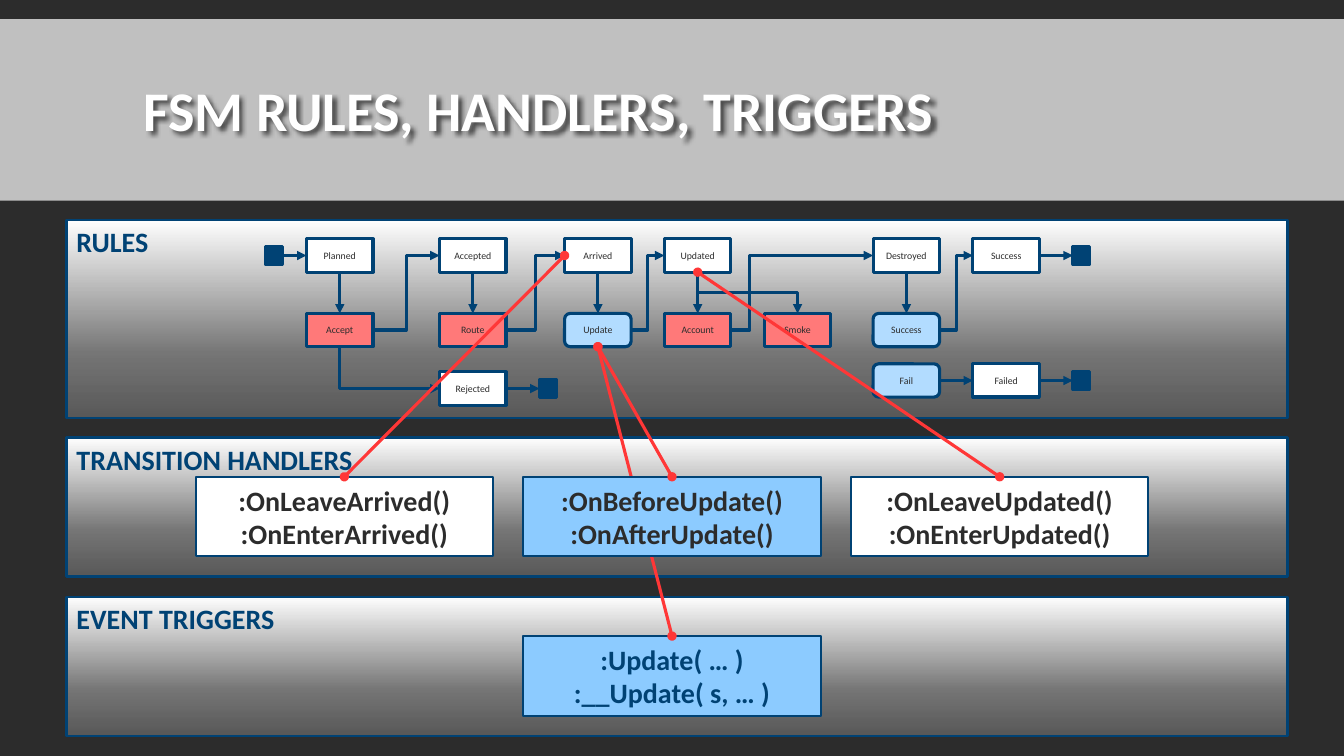
from lxml import etree
from pptx import Presentation
from pptx.dml.color import RGBColor
from pptx.enum.shapes import MSO_CONNECTOR as LINE, MSO_SHAPE as SHAPE
from pptx.enum.text import MSO_ANCHOR as ANCHOR, PP_ALIGN as ALIGN
from pptx.oxml import parse_xml
from pptx.oxml.ns import nsdecls, qn
from pptx.util import Inches, Pt

COLORS = {"dark": "2C2C2C", "white": "FFFFFF", "navy": "004274", "coral": "FF7979",
          "pale": "B2DCFF", "sky": "8CCBFF", "red": "FF3737"}
NODE_W, NODE_H, DOT = 0.66, 0.33, 0.17
CALL_W, CALL_H, CALL_STEP, CALL_TOP = 2.95, 0.79, 3.25, 0.39

# Offsets inside the rules panel
COLS = [2.38, 3.70, 4.94, 5.93, 6.92, 8.00, 8.99]
ROWS = [0.19, 0.93, 1.43, 1.51]
FILLS = {"state": "white", "action": "coral", "event": "pale"}
NODES = [  # label, column, row, kind
    ("Planned", 0, 0, "state"), ("Accepted", 1, 0, "state"), ("Arrived", 2, 0, "state"),
    ("Updated", 3, 0, "state"), ("Destroyed", 5, 0, "state"), ("Success", 6, 0, "state"),
    ("Accept", 0, 1, "action"), ("Route", 1, 1, "action"), ("Update", 2, 1, "event"),
    ("Account", 3, 1, "action"), ("Smoke", 4, 1, "action"), ("Success", 5, 1, "event"),
    ("Fail", 5, 2, "event"), ("Failed", 6, 2, "state"), ("Rejected", 1, 3, "state"),
]
DOTS = {"start": (1.97, 0), "done": (9.98, 0), "failed": (9.98, 2), "rejected": (4.69, 3)}
ACROSS = [("start", (0, 0)), ((6, 0), "done"), ((5, 2), (6, 2)),
          ((6, 2), "failed"), ((1, 3), "rejected")]
DOWN = [0, 1, 2, 3, 5]
UP = [(0, 1, 0.5), (1, 2, 0.5), (2, 3, 0.5), (3, 5, 0.133), (5, 6, 0.5)]
DROPS = [((3, 0), (4, 1), 0, "bentConnector3"), ((0, 1), (1, 3), 1, "bentConnector2")]


def rgb(name):
    return RGBColor.from_string(COLORS[name])


def block(shapes, box, fill=None, width=1.5, kind=SHAPE.RECTANGLE):
    shape = shapes.add_shape(kind, *map(Inches, box))
    shape.shadow.inherit = False
    shape.line.color.rgb = rgb("navy")
    shape.line.width = Pt(width)
    if fill:
        shape.fill.solid()
        shape.fill.fore_color.rgb = rgb(fill)
    return shape


def write(shape, lines, size, color, bold=False, align=ALIGN.CENTER, anchor=ANCHOR.MIDDLE):
    frame = shape.text_frame
    frame.word_wrap = True
    frame.vertical_anchor = anchor
    frame.text = "\n".join(lines)
    for para in frame.paragraphs:
        para.alignment = align
        font = para.font
        font.name, font.size, font.bold = "Calibri", Pt(size), bold
        font.color.rgb = rgb(color)


def link(shapes, start, side, end, goal, color="navy", kind=LINE.STRAIGHT,
         head="none", tail="triangle"):
    wire = shapes.add_connector(kind, 0, 0, 0, 0)
    wire.begin_connect(start, side)
    wire.end_connect(end, goal)
    wire.line.color.rgb = rgb(color)
    wire.line.width = Pt(2.25)
    props = wire._element.spPr
    line = props.find(qn("a:ln"))
    etree.SubElement(line, qn("a:headEnd"), type=head)
    etree.SubElement(line, qn("a:tailEnd"), type=tail)
    etree.SubElement(props, qn("a:effectLst"))
    return wire


def bend(wire, ratio):
    """Place the middle leg of an elbow at a share of its length."""
    guides = wire._element.spPr.find(qn("a:prstGeom")).get_or_add_avLst()
    etree.SubElement(guides, qn("a:gd"), name="adj1", fmla=f"val {round(ratio * 100000)}")


def turn(wire, preset):
    """Make an elbow that runs right and down leave downwards."""
    left, top, width, height = wire.left, wire.top, wire.width, wire.height
    wire.left, wire.top = left + (width - height) // 2, top + (height - width) // 2
    wire.width, wire.height = height, width
    props = wire._element.spPr
    frame = props.find(qn("a:xfrm"))
    frame.set("rot", "16200000")
    frame.set("flipH", "1")
    props.find(qn("a:prstGeom")).set("prst", preset)


def panel(slide, box, name):
    shape = block(slide.shapes, box)
    stops = "".join(
        f'<a:gs pos="{pos}000"><a:srgbClr val="{COLORS["white"]}">'
        f'<a:alpha val="{alpha}000"/></a:srgbClr></a:gs>'
        for pos, alpha in [(0, 20), (34, 35), (100, 100)])
    fade = parse_xml(f'<a:gradFill {nsdecls("a")} rotWithShape="1"><a:gsLst>{stops}</a:gsLst>'
                     '<a:lin ang="16200000" scaled="0"/></a:gradFill>')
    shape._element.spPr.find(qn("a:prstGeom")).addnext(fade)
    write(shape, [name], 20, "navy", True, ALIGN.LEFT, ANCHOR.TOP)


def header(slide, box):
    left, top, width, height = box
    band = block(slide.shapes, box, "white")
    band.line.fill.background()
    tint = band._element.spPr.find(qn("a:solidFill"))[0]
    etree.SubElement(tint, qn("a:alpha"), val="70000")
    title = slide.shapes.title
    slide.shapes._spTree.append(title._element)
    title.left, title.top = Inches(left + 1.32), Inches(top + 0.12)
    title.width, title.height = Inches(10.7), Inches(height - 0.15)
    write(title, ["FSM RULES, HANDLERS, TRIGGERS"], 40, "white", True, ALIGN.LEFT)
    title.text_frame.paragraphs[0].line_spacing = 0.85
    title.shadow.inherit = False
    title._element.spPr.find(qn("a:effectLst")).append(parse_xml(
        f'<a:outerShdw {nsdecls("a")} blurRad="38100" dist="38100" dir="2700000">'
        '<a:srgbClr val="000000"><a:alpha val="60000"/></a:srgbClr></a:outerShdw>'))


def rules(slide, box):
    """Draw the state flow and return its nodes by column and row."""
    left, top = box[:2]
    panel(slide, box, "RULES")
    shapes = slide.shapes.add_group_shape().shapes
    nodes = {}
    for label, col, row, kind in NODES:
        form = SHAPE.ROUNDED_RECTANGLE if kind == "event" else SHAPE.RECTANGLE
        place = (left + COLS[col], top + ROWS[row], NODE_W, NODE_H)
        node = nodes[col, row] = block(shapes, place, FILLS[kind], 2.25, form)
        write(node, [label], 7, "dark")
        frame = node.text_frame
        frame.margin_left = frame.margin_right = Inches(0.04)
        frame.margin_top = frame.margin_bottom = 0
    for name, (x, row) in DOTS.items():
        y = top + ROWS[row] + (NODE_H - DOT) / 2
        nodes[name] = block(shapes, (left + x, y, DOT, DOT), "navy", 2.25)
    for start, end in ACROSS:
        link(shapes, nodes[start], 3, nodes[end], 1)
    for col in DOWN:
        link(shapes, nodes[col, 0], 2, nodes[col, 1], 0)
    for start, end, ratio in UP:
        wire = link(shapes, nodes[start, 1], 3, nodes[end, 0], 1, kind=LINE.ELBOW)
        bend(wire, ratio)
    for start, end, goal, preset in DROPS:
        wire = link(shapes, nodes[start], 2, nodes[end], goal, kind=LINE.ELBOW)
        turn(wire, preset)
    return nodes


def call(slide, box, spot, lines, fill, color):
    """Add a box of function names at one of the three spots of a panel."""
    left, top, width, _ = box
    x = left + (width - CALL_W) / 2 + (spot - 1) * CALL_STEP - 0.05
    shape = block(slide.shapes, (x, top + CALL_TOP, CALL_W, CALL_H), fill)
    write(shape, lines, 20, color, True)
    return shape


def mark(slide, node, side, target):
    link(slide.shapes, node, side, target, 0, "red", head="oval", tail="oval")


def triggers(slide, box):
    panel(slide, box, "EVENT TRIGGERS")
    return call(slide, box, 1, [":Update( … )", ":__Update( s, … )"], "sky", "navy")


def handlers(slide, box, nodes, trigger):
    panel(slide, box, "TRANSITION HANDLERS")
    mark(slide, nodes[2, 1], 2, trigger)
    for spot, first, last, fill, cell, side in [
            (0, "LeaveArrived", "EnterArrived", "white", (2, 0), 1),
            (2, "LeaveUpdated", "EnterUpdated", "white", (3, 0), 2),
            (1, "BeforeUpdate", "AfterUpdate", "sky", (2, 1), 2)]:
        lines = [f":On{name}()" for name in (first, last)]
        mark(slide, nodes[cell], side, call(slide, box, spot, lines, fill, "dark"))


def main():
    deck = Presentation()
    deck.slide_width, deck.slide_height = Inches(13.33), Inches(7.5)
    slide = deck.slides.add_slide(deck.slide_layouts[5])
    slide.background.fill.solid()
    slide.background.fill.fore_color.rgb = rgb("dark")
    header(slide, (0, 0.19, 13.33, 1.8))
    nodes = rules(slide, (0.66, 2.18, 12.11, 1.97))
    trigger = triggers(slide, (0.66, 5.92, 12.11, 1.38))
    handlers(slide, (0.66, 4.34, 12.11, 1.38), nodes, trigger)
    deck.save("out.pptx")


if __name__ == "__main__":
    main()
